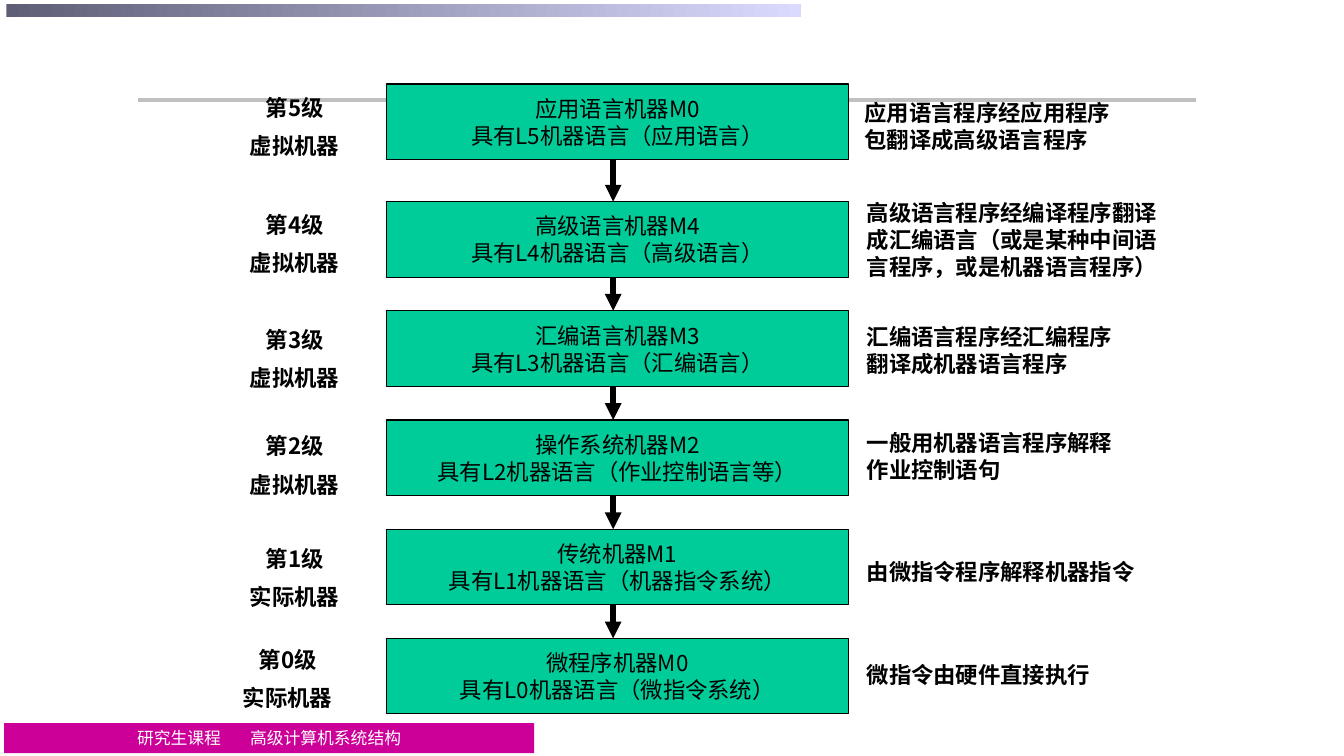
from pptx import Presentation
from pptx import util as u
from pptx.dml.color import RGBColor
from pptx.enum import shapes, text
from pptx.oxml.ns import qn
from lxml import etree

# Content: level, kind, machine, language, note,
# then tops of box, label and note, label left, note left and width
LEVELS = [
    ("第5级", "虚拟机器", "应用语言机器M0", "具有L5机器语言（应用语言）",
     "应用语言程序经应用程序包翻译成高级语言程序", 60, 63.5, 67, 160.5, 610.5, 204),
    ("第4级", "虚拟机器", "高级语言机器M4", "具有L4机器语言（高级语言）",
     "高级语言程序经编译程序翻译成汇编语言（或是某种中间语言程序，或是机器语言程序）",
     144, 147, 139, 160.5, 612, 228),
    ("第3级", "虚拟机器", "汇编语言机器M3", "具有L3机器语言（汇编语言）",
     "汇编语言程序经汇编程序翻译成机器语言程序", 222, 229.5, 227.5, 160.5, 612, 204),
    ("第2级", "虚拟机器", "操作系统机器M2", "具有L2机器语言（作业控制语言等）",
     "一般用机器语言程序解释作业控制语句", 300, 305.5, 303, 160.5, 612, 204),
    ("第1级", "实际机器", "传统机器M1", "具有L1机器语言（机器指令系统）",
     "由微指令程序解释机器指令", 378, 386, 395.5, 160.5, 612, 228),
    ("第0级", "实际机器", "微程序机器M0", "具有L0机器语言（微指令系统）",
     "微指令由硬件直接执行", 456, 458, 468.5, 155.5, 612, 204),
]
FOOT = ("研究生课程", "高级计算机系统结构")

THEME = dict(
    ink="000000", white="FFFFFF", box="00CC99", foot="CC0099", rule="C0C0C0",
    dark="5E5E76", pale="DADAFF", body=16, small=12,
    sans="Noto Sans CJK SC", note="Cabin", serif="Times New Roman",
)
BOX_X, BOX_W, BOX_H = 276, 330, 54
ARROW_X = 438

deck = Presentation()
deck.slide_width, deck.slide_height = u.Pt(960), u.Pt(540)
page = deck.slides.add_slide(deck.slide_layouts[6])


def rgb(name):
    return RGBColor.from_string(THEME[name])


def pts(*nums):
    return [u.Pt(n) for n in nums]


def write(shape, lines, font="sans", size="body", ink="ink", bold=False,
          mid=True, wrap=True, gap=0, space=0):
    """Each line is a tuple of runs; space widens a run that is one blank."""
    frame = shape.text_frame
    frame.word_wrap = wrap
    for i, runs in enumerate(lines):
        par = frame.paragraphs[0] if i == 0 else frame.add_paragraph()
        par.alignment = text.PP_ALIGN.CENTER if mid else text.PP_ALIGN.LEFT
        if i and gap:
            par.space_before = u.Pt(gap)
        for words in runs:
            run = par.add_run()
            run.text = words
            run.font.size, run.font.bold = u.Pt(THEME[size]), bold
            run.font.name = THEME[font]
            run.font.color.rgb = rgb(ink)
            props = run.font._element
            east = etree.Element(qn("a:ea"), typeface=THEME["sans"])
            props.find(qn("a:latin")).addnext(east)
            if words == " " and space:
                props.set("spc", str(space * 100))


def label(left, top, wide, high, lines, **look):
    part = page.shapes.add_textbox(*pts(left, top, wide, high))
    write(part, lines, bold=True, **look)


def block(left, top, wide, high, fill, edge=None):
    part = page.shapes.add_shape(shapes.MSO_SHAPE.RECTANGLE, *pts(left, top, wide, high))
    part.shadow.inherit = False
    part.fill.solid()
    part.fill.fore_color.rgb = rgb(fill)
    if edge:
        part.line.color.rgb, part.line.width = rgb(edge), u.Pt(0.75)
    else:
        part.line.fill.background()
    return part


def line(x1, y1, x2, y2, ink, width, head=False):
    part = page.shapes.add_connector(shapes.MSO_CONNECTOR.STRAIGHT, *pts(x1, y1, x2, y2))
    part.line.color.rgb, part.line.width = rgb(ink), u.Pt(width)
    if head:
        etree.SubElement(part.line._get_or_add_ln(), qn("a:tailEnd"), type="triangle")
    etree.SubElement(part._element.spPr, qn("a:effectLst"))


# Footer, top band and rule
foot = block(3, 516.5, 378.5, 21.5, "foot")
foot.text_frame.vertical_anchor = text.MSO_ANCHOR.TOP
write(foot, [(FOOT[0], " ", FOOT[1])], font="serif", size="small", ink="white", space=18)

band = block(4.5, 3, 567.5, 9, "pale")
band.fill.gradient()
band.fill.gradient_angle = 0
for stop, ink, place in zip(band.fill.gradient_stops, ("dark", "pale"), (0, 1)):
    stop.color.rgb, stop.position = rgb(ink), place

line(98.5, 71.5, 854.5, 71.5, "rule", 2.75)

# Levels: label, machine box and note
for level, kind, name, lang, note, top, ltop, ntop, lx, nx, nw in LEVELS:
    box = block(BOX_X, top, BOX_W, BOX_H, "box", "ink")
    box.text_frame.vertical_anchor = text.MSO_ANCHOR.MIDDLE
    write(box, [(name,), (lang,)], wrap=False)
    label(lx, ltop, 100, 55.5, [(level,), (kind,)], gap=8)
    rows = -(-len(note) * THEME["body"] // (nw - 14))
    label(nx, ntop, nw, 7.5 + 19.2 * rows, [(note,)], font="note", mid=False)

# Arrows from each box down to the next
tops = [row[5] for row in LEVELS]
for top, below in zip(tops, tops[1:]):
    line(ARROW_X, top + BOX_H, ARROW_X, below, "ink", 4, head=True)

deck.save("out.pptx")
